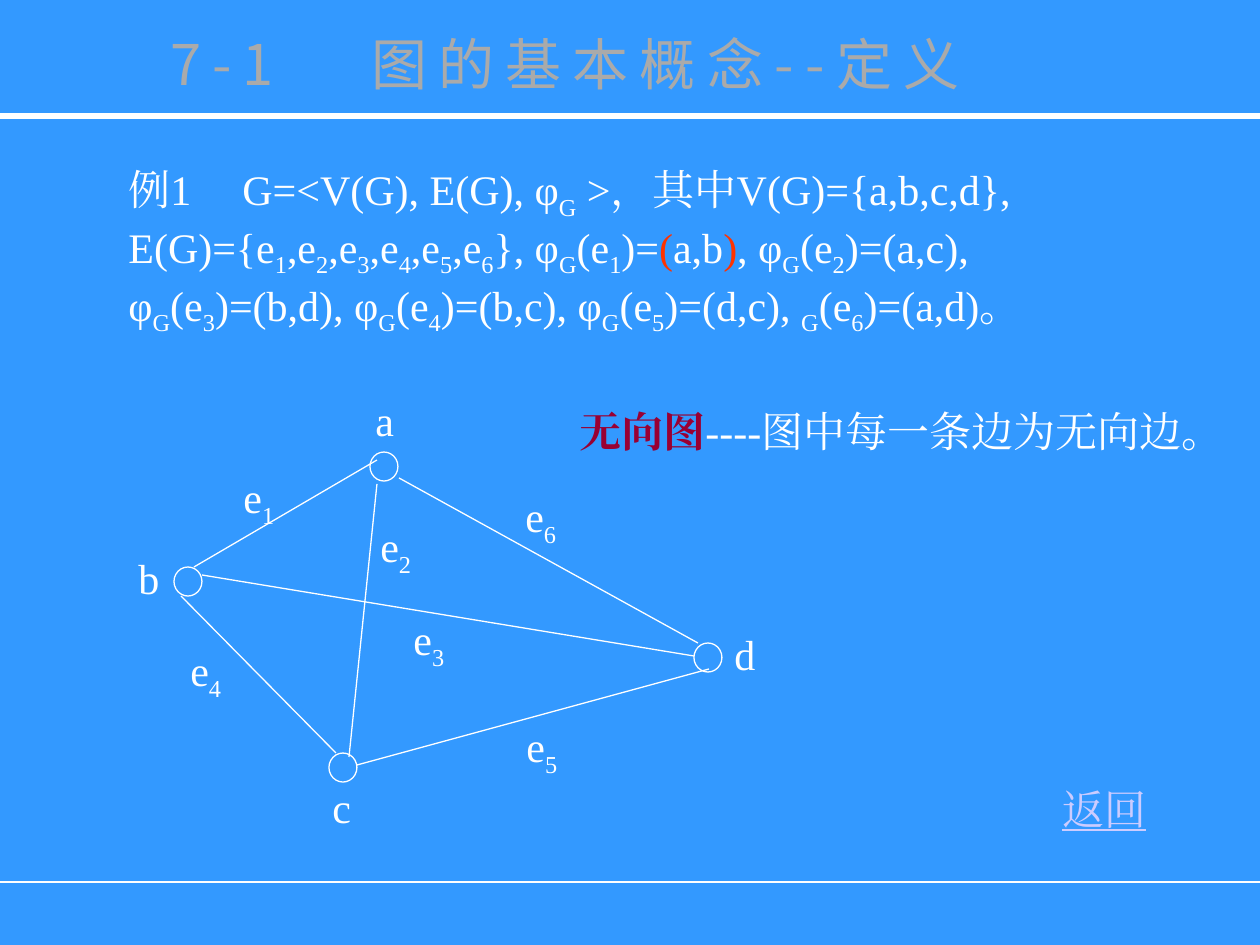
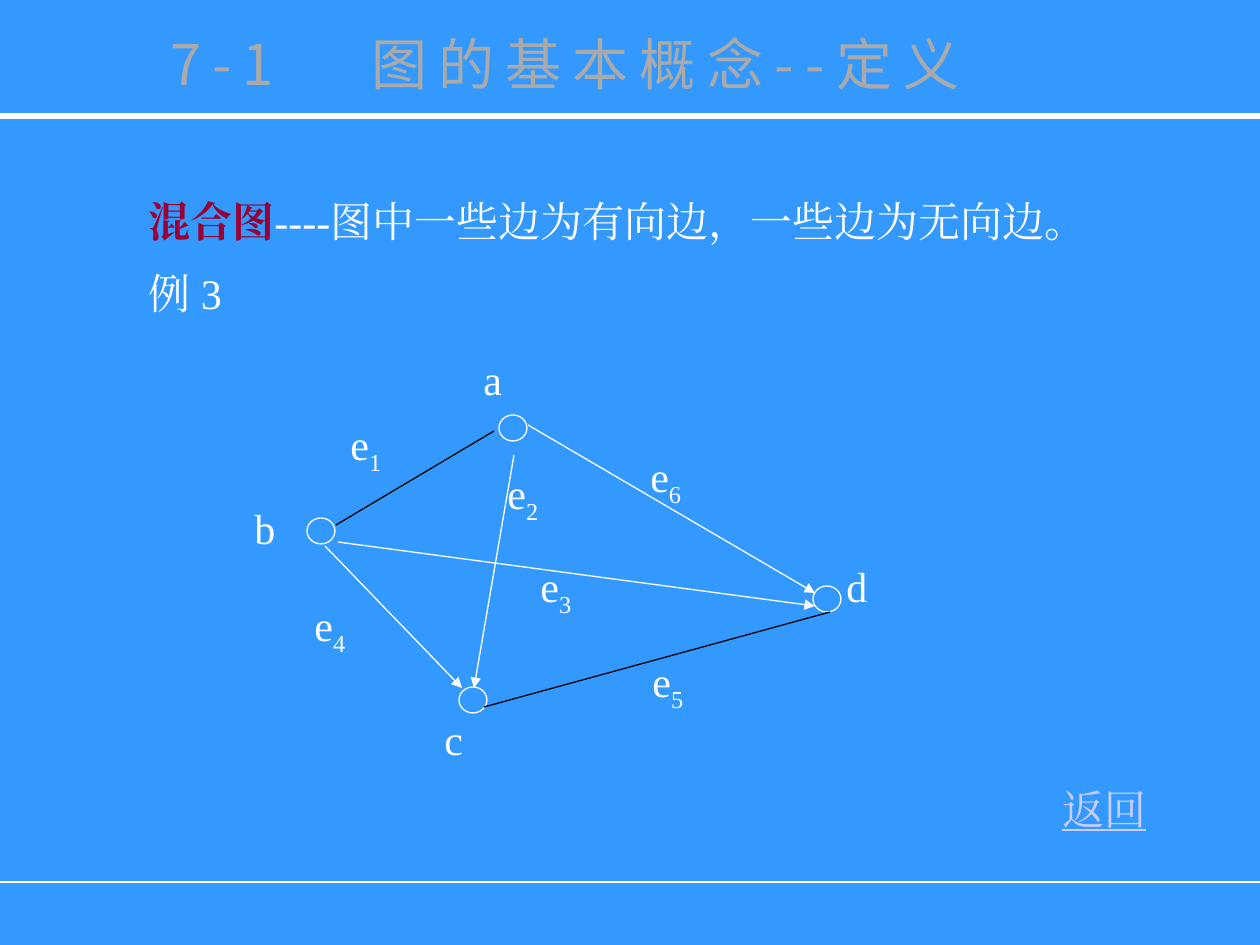
"""Build two slides on undirected and mixed graphs."""
import dataclasses

import pptx
import pptx.dml.color
import pptx.enum.shapes
import pptx.enum.text
import pptx.oxml.ns
import pptx.util
from lxml import etree


@dataclasses.dataclass(frozen=True)
class Theme:
    back: str = "3399FF"
    ink: str = "FFFFFF"
    dark: str = "000000"
    head: str = "AAAAAA"
    term: str = "990033"
    mark: str = "FF3300"
    link: str = "CCCCFF"
    face: str = "Times New Roman"
    sans: str = "Noto Sans CJK SC"
    body: int = 24
    title: int = 32
    lead: int = 29
    sublead: int = 33
    gap: int = 12
    thin: float = 0.75
    thick: int = 3


look = Theme()
px = 914400 / 126
qn = pptx.oxml.ns.qn
rgb = pptx.dml.color.RGBColor.from_string
Pt = pptx.util.Pt


def write(frame, paras, lead, size=look.body, face=look.face, tab=0):
    """Fill a frame; each run is text, colour and style, and _ lowers one character."""
    frame.word_wrap = True
    for i, runs in enumerate(paras):
        para = frame.paragraphs[0] if i == 0 else frame.add_paragraph()
        if tab and i == 0:
            tabs = etree.SubElement(para._p.get_or_add_pPr(), qn("a:tabLst"))
            etree.SubElement(tabs, qn("a:tab"), pos=str(round(tab * px)), algn="l")
        para.alignment = pptx.enum.text.PP_ALIGN.LEFT
        para.line_spacing = lead
        for text, color, style in runs:
            first, *rest = text.split("_")
            parts = [(first, False)]
            for part in rest:
                parts += [(part[0], True), (part[1:], False)]
            for word, low in parts:
                if not word:
                    continue
                run = para.add_run()
                run.text = word
                font = run.font
                font.size = Pt(size)
                font.bold = style == "bold"
                font.underline = style == "under"
                font.color.rgb = rgb(color)
                font.name = face
                props = run._r.get_or_add_rPr()
                etree.SubElement(props, qn("a:ea"), typeface=face)
                if low:
                    props.set("baseline", "-25000")
                if style == "wide":
                    props.set("spc", "640")


def draw(slide, ends, color, width, arrow=False):
    """Draw a straight line, with an arrowhead at its end if asked."""
    kind = pptx.enum.shapes.MSO_CONNECTOR.STRAIGHT
    line = slide.shapes.add_connector(kind, *[round(v * px) for v in ends])
    line.line.color.rgb = rgb(color)
    line.line.width = Pt(width)
    if arrow:
        etree.SubElement(line.line._get_or_add_ln(), qn("a:tailEnd"), type="triangle")
    etree.SubElement(line._element.spPr, qn("a:effectLst"))


ink = look.ink
plain = {
    "high": 29,
    "nodes": {
        "a": (370, 452, 363, 388),
        "b": (174, 567, 126, 546),
        "c": (329, 753, 320, 775),
        "d": (694, 643, 722, 622),
    },
    "edges": [
        ((194, 567, 377, 460), (231, 465), "white"),
        ((377, 484, 349, 757), (368, 514), "white"),
        ((202, 575, 694, 656), (401, 607), "white"),
        ((181, 596, 336, 753), (178, 638), "white"),
        ((357, 765, 709, 669), (514, 714), "white"),
        ((399, 478, 698, 643), (513, 484), "white"),
    ],
    "texts": [
        ((116, 157, 1002, 164), look.sublead, 114, [
            [
                ("例1\tG=<V(G), E(G), φ_G >，其中V(G)={a,b,c,d}, "
                 "E(G)={e_1,e_2,e_3,e_4,e_5,e_6}, φ_G(e_1)=", ink, ""),
                ("(", look.mark, ""),
                ("a,b", ink, ""),
                (")", look.mark, ""),
                (", φ_G(e_2)=(a,c),", ink, ""),
            ],
            [("φ_G(e_3)=(b,d), φ_G(e_4)=(b,c), φ_G(e_5)=(d,c), "
              "_G(e_6)=(a,d)。", ink, "")],
        ]),
        ((567, 399, 630, 113), look.lead, 0, [
            [("无向图", look.term, "bold"), ("----图中每一条边为无向边。", ink, "")],
        ]),
    ],
}
mixed = {
    "high": 26,
    "nodes": {
        "a": (499, 415, 471, 347),
        "b": (307, 518, 242, 496),
        "c": (459, 687, 432, 707),
        "d": (813, 586, 834, 554),
    },
    "edges": [
        ((336, 525, 494, 431), (338, 412), "black"),
        ((514, 455, 474, 688), (495, 461), "arrow"),
        ((338, 542, 815, 606), (528, 554), "arrow"),
        ((325, 546, 462, 688), (302, 593), "arrow"),
        ((484, 707, 830, 612), (640, 649), "black"),
        ((528, 425, 815, 593), (638, 444), "arrow"),
    ],
    "texts": [
        ((136, 189, 945, 185), look.lead, 0, [
            [("混合图", look.term, "bold"),
             ("----图中一些边为有向边，一些边为无向边。", ink, "")],
            [("例 3", ink, "")],
        ]),
    ],
}

deck = pptx.Presentation()
deck.slide_width = round(1260 * px)
deck.slide_height = round(945 * px)
fill = deck.slide_master.background.fill
fill.solid()
fill.fore_color.rgb = rgb(look.back)

for graph in (plain, mixed):
    slide = deck.slides.add_slide(deck.slide_layouts[5])
    for y, width in ((116, look.thick), (882, look.thin)):
        draw(slide, (0, y, 1260, y), ink, width)

    title = slide.shapes.title
    title.left, title.top, title.width, title.height = [
        round(v * px) for v in (170, 29, 900, 82)]
    frame = title.text_frame
    frame.auto_size = pptx.enum.text.MSO_AUTO_SIZE.NONE
    frame.vertical_anchor = pptx.enum.text.MSO_ANCHOR.TOP
    frame.margin_left = frame.margin_right = frame.margin_top = frame.margin_bottom = 0
    write(frame, [[("7-1\t图的基本概念--定义", look.head, "wide")]],
          1.0, look.title, look.sans, 201)

    texts = graph["texts"] + [
        ((1050, 777, 136, 63), look.lead, 0, [[("返回", look.link, "under")]])]
    for name, (x, y, left, top) in graph["nodes"].items():
        oval = pptx.enum.shapes.MSO_SHAPE.OVAL
        node = slide.shapes.add_shape(
            oval, *[round(v * px) for v in (x, y, 28, graph["high"])])
        node.shadow.inherit = False
        node.fill.background()
        node.line.color.rgb = rgb(ink)
        node.line.width = Pt(look.thin)
        texts.append(((left, top, 70, 63), look.lead, 0, [[(name, ink, "")]]))
    for i, (ends, spot, kind) in enumerate(graph["edges"], 1):
        color = look.dark if kind == "black" else ink
        draw(slide, ends, color, look.thin, kind == "arrow")
        texts.append(((*spot, 98, 63), look.sublead, 0, [[(f"e_{i}", ink, "")]]))
    for box, lead, tab, paras in texts:
        note = slide.shapes.add_textbox(*[round(v * px) for v in box])
        write(note.text_frame, paras, Pt(lead), tab=tab)
        if graph is mixed and len(paras) > 1:
            note.text_frame.paragraphs[1].space_before = Pt(look.gap)

deck.save("out.pptx")
